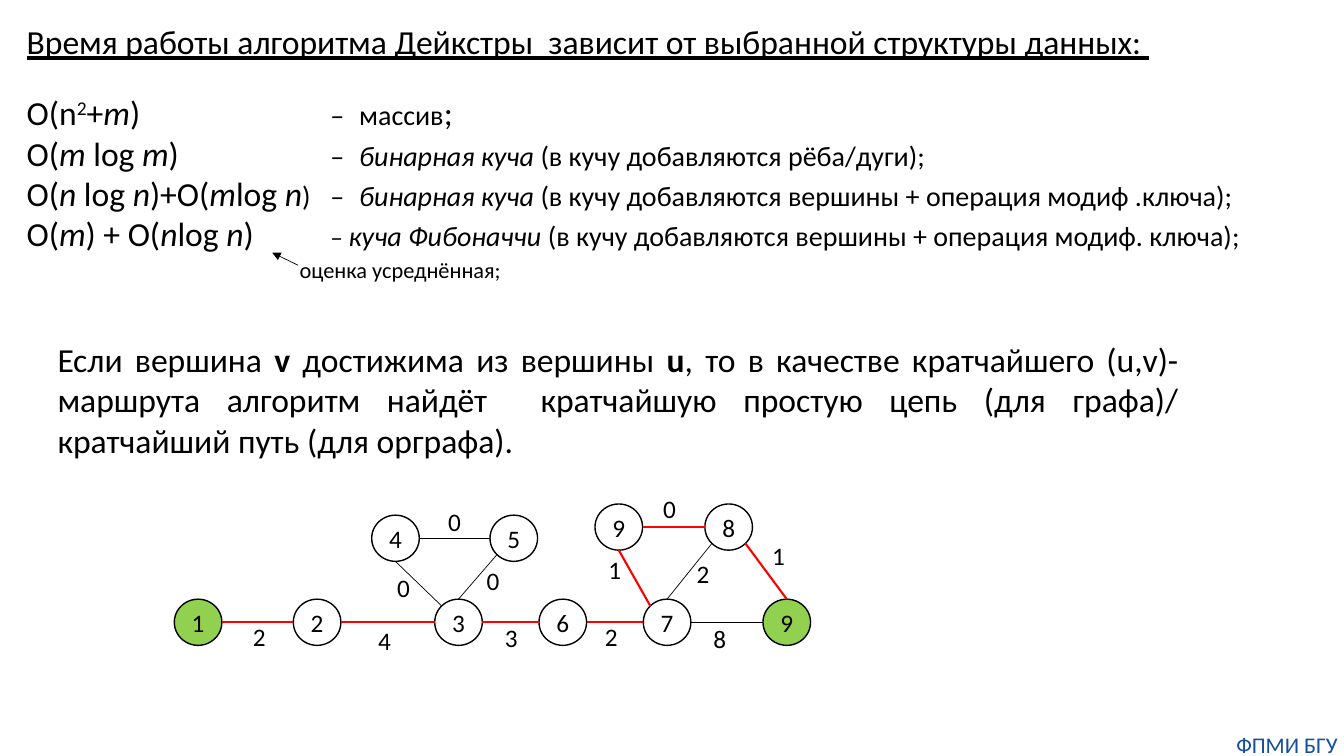
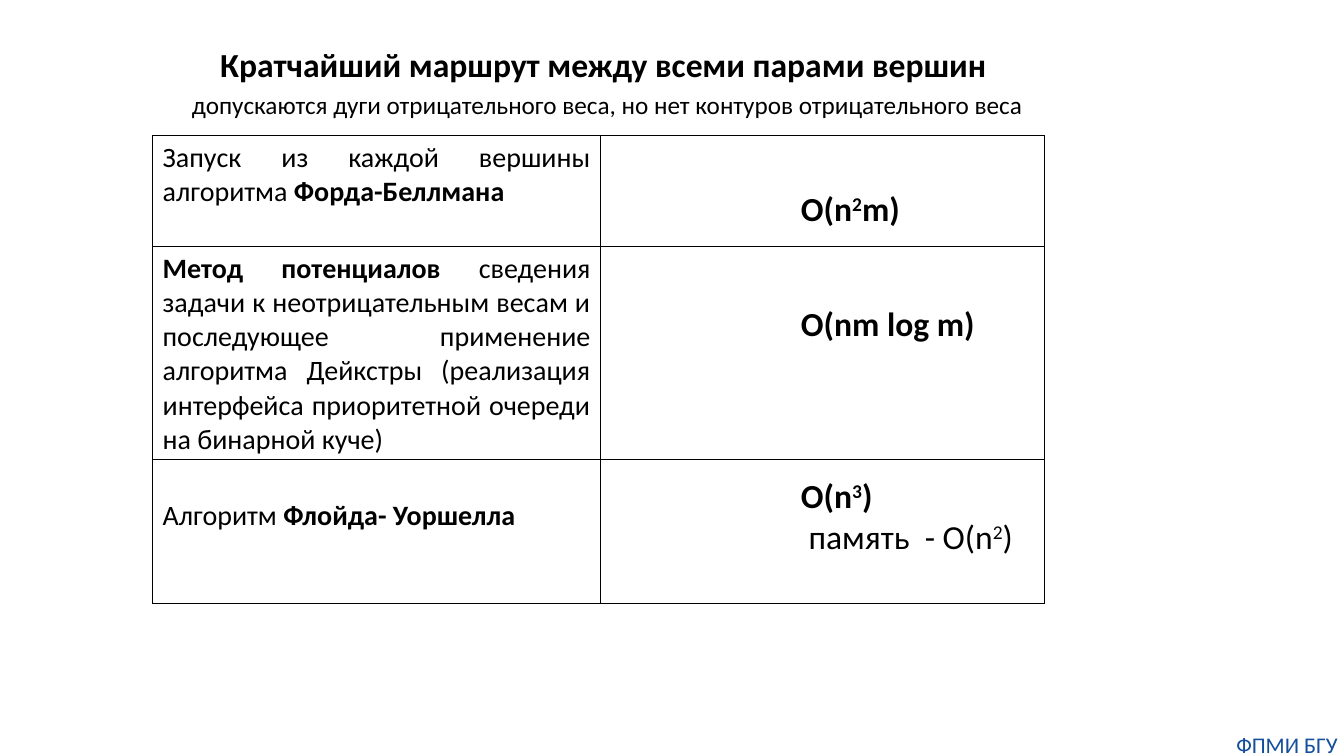
from dataclasses import dataclass

from lxml.etree import SubElement
from pptx import Presentation
from pptx.dml.color import RGBColor
from pptx.enum.shapes import MSO_CONNECTOR, MSO_SHAPE
from pptx.enum.text import MSO_ANCHOR, PP_ALIGN
from pptx.oxml.ns import qn
from pptx.util import Pt

BLACK = RGBColor(0x00, 0x00, 0x00)
RED = RGBColor(0xFF, 0x00, 0x00)
GREEN = RGBColor(0x92, 0xD0, 0x50)
BLUE = RGBColor(0x14, 0x4E, 0x9D)
FONT = "Calibri"
NODE_W, NODE_H = 34, 33
DIAGONAL = 0.35
# Where an edge meets a node, as parts of its width and height from the centre
SITES = {
    "N": (0, -0.5), "S": (0, 0.5), "W": (-0.5, 0), "E": (0.5, 0),
    "NW": (-DIAGONAL, -DIAGONAL),
    "SW": (-DIAGONAL, DIAGONAL), "SE": (DIAGONAL, DIAGONAL),
}


@dataclass
class Para:
    """Runs are strings or (text, marks[, size]); marks: b, i, u, ^ (superscript)."""
    runs: list
    size: float = 24
    marks: str = ""
    align: PP_ALIGN = PP_ALIGN.LEFT
    color: RGBColor = BLACK
    before: float = 0
    indent: float = 0
    tabs: tuple = ()
    spacing: float = 1


def apply_marks(font, marks):
    if "b" in marks:
        font.bold = True
    if "i" in marks:
        font.italic = True
    if "u" in marks:
        font.underline = True


class Deck:
    def __init__(self):
        self.presentation = Presentation()
        self.presentation.slide_width = Pt(960)
        self.presentation.slide_height = Pt(540)
        self.slide = None

    def new_slide(self):
        self.slide = self.presentation.slides.add_slide(
            self.presentation.slide_layouts[6])
        self.text(878.5, 522, 81.5, 18, margin=0, paras=[
            Para(["ФПМИ БГУ"], 16, align=PP_ALIGN.CENTER, color=BLUE)])

    def fill_text(self, frame, paras):
        for index, para in enumerate(paras):
            paragraph = frame.add_paragraph() if index else frame.paragraphs[0]
            properties = paragraph._p.get_or_add_pPr()
            if para.indent:
                properties.set("marL", str(Pt(para.indent)))
                properties.set("indent", "0")
            if para.tabs:
                stops = SubElement(properties, qn("a:tabLst"))
                for position in para.tabs:
                    SubElement(stops, qn("a:tab"), pos=str(Pt(position)), algn="l")
            paragraph.alignment = para.align
            if para.spacing != 1:
                paragraph.line_spacing = para.spacing
            if para.before:
                paragraph.space_before = Pt(para.before)
            font = paragraph.font
            font.name, font.size = FONT, Pt(para.size)
            font.color.rgb = para.color
            apply_marks(font, para.marks)
            for part in para.runs:
                words, marks, *size = (part, "") if isinstance(part, str) else part
                run = paragraph.add_run()
                run.text = words
                apply_marks(run.font, marks)
                if "^" in marks:
                    run._r.get_or_add_rPr().set("baseline", "30000")
                if size:
                    run.font.size = Pt(size[0])

    def text(self, left, top, width, height, paras, wrap=True, margin=None,
             anchor=MSO_ANCHOR.TOP):
        frame = self.slide.shapes.add_textbox(
            Pt(left), Pt(top), Pt(width), Pt(height)).text_frame
        frame.word_wrap = wrap
        frame.vertical_anchor = anchor
        if margin is not None:
            frame.margin_left = frame.margin_right = Pt(margin)
            frame.margin_top = frame.margin_bottom = Pt(margin)
        self.fill_text(frame, paras)

    def node(self, label, left, top, fill=None):
        circle = self.slide.shapes.add_shape(
            MSO_SHAPE.OVAL, Pt(left), Pt(top), Pt(NODE_W), Pt(NODE_H))
        circle.shadow.inherit = False
        if fill is None:
            circle.fill.background()
        else:
            circle.fill.solid()
            circle.fill.fore_color.rgb = fill
        circle.line.color.rgb = BLACK
        circle.line.width = Pt(1)
        frame = circle.text_frame
        frame.margin_left = frame.margin_right = Pt(0)
        frame.margin_top = frame.margin_bottom = Pt(0)
        frame.vertical_anchor = MSO_ANCHOR.MIDDLE
        self.fill_text(frame, [Para([label], 18, align=PP_ALIGN.CENTER)])

    def line(self, start, end, color=BLACK, width=0.5, arrow=False):
        connector = self.slide.shapes.add_connector(
            MSO_CONNECTOR.STRAIGHT, *map(Pt, start + end))
        connector.line.color.rgb = color
        connector.line.width = Pt(width)
        if arrow:
            SubElement(connector.line._get_or_add_ln(), qn("a:tailEnd"),
                       type="triangle")
        SubElement(connector._element.spPr, qn("a:effectLst"))

    def graph(self, nodes, edges):
        def site(key, side):
            _, left, top, *_ = nodes[key]
            dx, dy = SITES[side]
            return left + NODE_W * (0.5 + dx), top + NODE_H * (0.5 + dy)

        for node in nodes.values():
            self.node(*node)
        for source, out, target, into, on_route, weight, left, top in edges:
            style = (RED, 1.5) if on_route else (BLACK, 0.5)
            self.line(site(source, out), site(target, into), *style)
            self.text(left, top, 24, 29, [Para([weight], 18)], wrap=False)

    def table(self, left, top, widths, heights, rows):
        """Each row is a list of (paragraphs, top margin) cells."""
        table = self.slide.shapes.add_table(
            len(heights), len(widths), Pt(left), Pt(top),
            Pt(sum(widths)), Pt(sum(heights))).table
        table.first_row = table.horz_banding = False
        for column, width in zip(table.columns, widths):
            column.width = Pt(width)
        for row, height, cells in zip(table.rows, heights, rows):
            row.height = Pt(height)
            for cell, (paras, margin_top) in zip(row.cells, cells):
                cell.margin_top = Pt(margin_top)
                self.fill_text(cell.text_frame, paras)
                self.cell_borders(cell)
                cell.fill.background()

    def cell_borders(self, cell):
        properties = cell._tc.get_or_add_tcPr()
        for side in ("a:lnL", "a:lnR", "a:lnT", "a:lnB"):
            border = SubElement(properties, qn(side), w=str(Pt(1)))
            fill = SubElement(border, qn("a:solidFill"))
            SubElement(fill, qn("a:srgbClr"), val=str(BLACK))


def running_time_slide(deck):
    deck.new_slide()
    estimates = [
        (["О(n", ("2", "^"), "+", ("m", "i"), ")\t", ("–\tмассив", "", 20), ";"]),
        (["О(", ("m", "i"), " log ", ("m", "i"), ")\t", ("–\t", "", 20),
          ("бинарная куча ", "i", 20),
          ("(в кучу добавляются рёба/дуги);", "", 20)]),
        (["О(", ("n", "i"), " log ", ("n", "i"), ")+О(", ("m", "i"), "log ",
          ("n", "i"), (")\t–\t", "", 20), ("бинарная куча ", "i", 20),
          ("(в кучу добавляются вершины + операция модиф .ключа);", "", 20)]),
        (["О(", ("m", "i"), ") + О(", ("n", "i"), "log ", ("n", "i"), ")\t",
          ("– ", "", 18), ("куча Фибоначчи ", "i", 20),
          ("(в кучу добавляются вершины + операция модиф. ключа);", "", 20)]),
    ]
    heading = Para(["Время работы алгоритма Дейкстры  зависит от выбранной "
                    "структуры данных: "], marks="u")
    deck.text(12, 11.5, 932.5, 196.5, [heading] + [
        Para(runs, before=0 if index else 22, tabs=(217, 237.5))
        for index, runs in enumerate(estimates)
    ] + [Para(["оценка усреднённая;"], 16, before=2, indent=195)])
    deck.line((213, 189.5), (194.5, 180.5), arrow=True)

    deck.text(34, 238.5, 815, 94.5, [Para([
        "Если вершина ", ("v", "b"), " достижима из вершины ", ("u", "b"),
        ", то в качестве кратчайшего (u,v)-маршрута алгоритм найдёт  "
        "кратчайшую простую цепь (для графа)/ кратчайший путь (для орграфа).",
    ], align=PP_ALIGN.JUSTIFY)])

    base, triangle, detour = 428, 368, 360
    nodes = {
        "start": ("1", 124.5, base, GREEN),
        "2": ("2", 209.5, base),
        "3": ("3", 310.5, base),
        "6": ("6", 385, base),
        "7": ("7", 459.5, base),
        "finish": ("9", 545, base, GREEN),
        "4": ("4", 265.5, triangle),
        "5": ("5", 350, triangle),
        "9": ("9", 425, detour),
        "8": ("8", 503.5, detour),
    }
    edges = [
        ("start", "E", "2", "W", True, "2", 173.5, 440.5),
        ("2", "E", "3", "W", True, "4", 263, 443),
        ("3", "E", "6", "W", True, "3", 353.5, 441),
        ("6", "E", "7", "W", True, "2", 425, 440.5),
        ("7", "E", "finish", "W", False, "8", 502.5, 442),
        ("3", "NW", "4", "S", False, "0", 276.5, 405.5),
        ("4", "E", "5", "W", False, "0", 313, 358),
        ("3", "N", "5", "SW", False, "0", 340.5, 400.5),
        ("7", "NW", "9", "S", True, "1", 427.5, 392.5),
        ("9", "E", "8", "W", True, "0", 466.5, 349),
        ("7", "N", "8", "SW", False, "2", 490.5, 395.5),
        ("8", "SE", "finish", "N", True, "1", 544.5, 382.5),
    ]
    deck.graph(nodes, edges)


def all_pairs_slide(deck):
    deck.new_slide()
    deck.text(116, 22.5, 630, 75, anchor=MSO_ANCHOR.MIDDLE, paras=[
        Para(["Кратчайший маршрут между всеми парами вершин"], marks="b",
             align=PP_ALIGN.CENTER, spacing=0.9),
        Para(["допускаются дуги отрицательного веса, но нет контуров "
              "отрицательного веса"], 18, align=PP_ALIGN.CENTER, spacing=0.9,
             before=6, indent=5.5),
    ])

    methods = [
        (["Запуск из каждой вершины алгоритма ", ("Форда-Беллмана", "b")], 3.6),
        ([("Метод потенциалов", "b"),
          " сведения задачи к неотрицательным весам и последующее применение "
          "алгоритма Дейкстры (реализация интерфейса приоритетной очереди на "
          "бинарной куче)"], 3.6),
        (["Алгоритм ", ("Флойда- Уоршелла", "b")], 28),
    ]
    deck.table(109, 97, (320, 317), (79, 152, 103), [
        [([Para(runs, 20, align=PP_ALIGN.JUSTIFY)], margin_top), ([], 3.6)]
        for runs, margin_top in methods])

    complexities = [
        (131, 36, [Para(["O(n", ("2", "^"), "m)"], marks="b")]),
        (213, 36, [Para(["O(nm log m)"], marks="b")]),
        (336, 65.5, [Para(["O(n", ("3", "^"), ")"], marks="b"),
                     Para(["память  - O(n", ("2", "^"), ")"], indent=5.5)]),
    ]
    for top, height, paras in complexities:
        deck.text(565, top, 220, height, paras)


def main():
    deck = Deck()
    running_time_slide(deck)
    all_pairs_slide(deck)
    deck.presentation.save("out.pptx")


if __name__ == "__main__":
    main()
